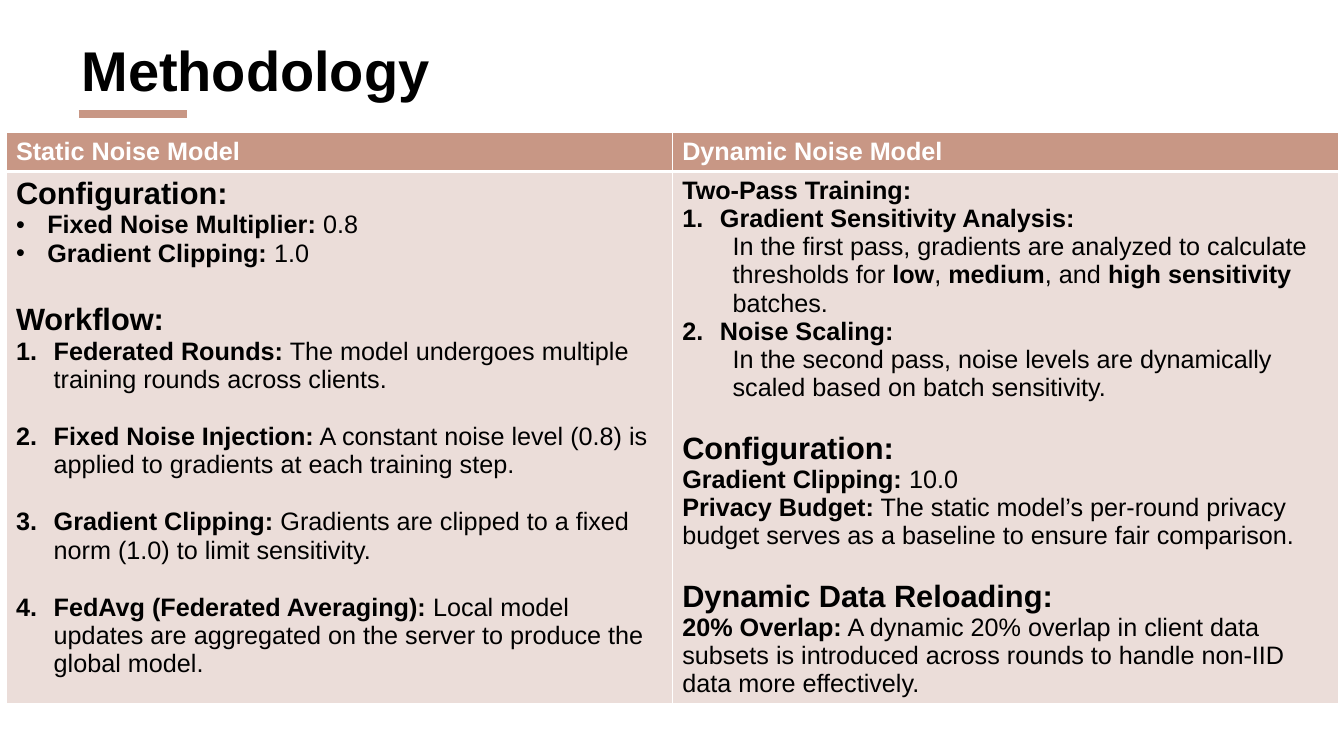
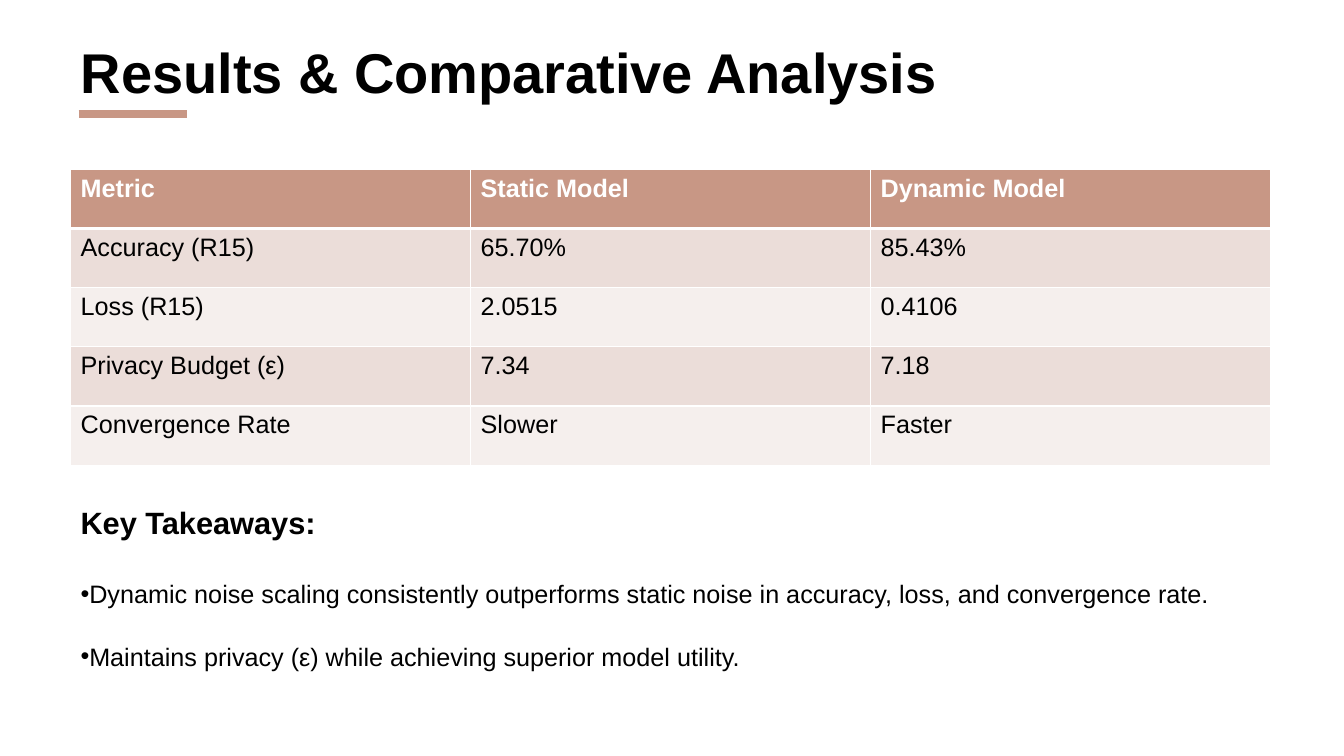
import pptx
import pptx.dml.color
import pptx.enum.shapes
import pptx.enum.text
import pptx.oxml.ns
import pptx.util
from lxml import etree

Cm, Pt = pptx.util.Cm, pptx.util.Pt

COLORS = {
    "accent": "C89785",
    "band_dark": "EBDDD9",
    "band_light": "F5EFED",
    "text": "000000",
    "white": "FFFFFF",
}
FONT = "Arial"
TITLE_SIZE, HEADING_SIZE, BODY_SIZE = 40, 22, 18
LINE_GAP = 20.7  # one body line, in points

STYLES = {
    "heading": dict(size=HEADING_SIZE, bold=True),
    "plain": dict(),
    "bullet": dict(bullet="•", indent=0.79, hang=0.79),
    "number": dict(bullet="arabicPeriod", indent=0.95, hang=0.95),
    "detail": dict(indent=1.27, level=1),
    "flush_bullet": dict(bullet="•"),
}

# Each paragraph: style, text with **bold** parts, gap above in points
STATIC_MODEL = [
    ("heading", "Configuration:", 0),
    ("bullet", "**Fixed Noise Multiplier:** 0.8", 0),
    ("bullet", "**Gradient Clipping:** 1.0", 0),
    ("heading", "Workflow:", 25.3),
    ("number", "**Federated Rounds:** The model undergoes multiple training "
     "rounds across clients.", 0),
    ("number", "**Fixed Noise Injection:** A constant noise level (0.8) is "
     "applied to gradients at each training step.", LINE_GAP),
    ("number", "**Gradient Clipping:** Gradients are clipped to a fixed norm "
     "(1.0) to limit sensitivity.", LINE_GAP),
    ("number", "**FedAvg (Federated Averaging):** Local model updates are "
     "aggregated on the server to produce the global model.", LINE_GAP),
]
DYNAMIC_MODEL = [
    ("plain", "**Two-Pass Training:**", 0),
    ("number", "**Gradient Sensitivity Analysis:**", 0),
    ("detail", "In the first pass, gradients are analyzed to calculate thresholds "
     "for **low**, **medium**, and **high sensitivity** batches.", 0),
    ("number", "**Noise Scaling:**", 0),
    ("detail", "In the second pass, noise levels are dynamically scaled based on "
     "batch sensitivity.", 0),
    ("heading", "Configuration:", LINE_GAP),
    ("plain", "**Gradient Clipping:** 10.0", 0),
    ("plain", "**Privacy Budget:** The static model’s per-round privacy budget "
     "serves as a baseline to ensure fair comparison.", 0),
    ("heading", "Dynamic Data Reloading:", LINE_GAP),
    ("plain", "**20% Overlap:** A dynamic 20% overlap in client data subsets is "
     "introduced across rounds to handle non-IID data more effectively.", 0),
]
METHODS = [
    ["Static Noise Model", "Dynamic Noise Model"],
    [STATIC_MODEL, DYNAMIC_MODEL],
]
RESULTS = [
    ["Metric", "Static Model", "Dynamic Model"],
    ["Accuracy (R15)", "65.70%", "85.43%"],
    ["Loss (R15)", "2.0515", "0.4106"],
    ["Privacy Budget (ε)", "7.34", "7.18"],
    ["Convergence Rate", "Slower", "Faster"],
]
TAKEAWAYS = [
    ("heading", "Key Takeaways:", 0),
    ("flush_bullet", "Dynamic noise scaling consistently outperforms static noise "
     "in accuracy, loss, and convergence rate.", 27),
    ("flush_bullet", "Maintains privacy (ε) while achieving superior model "
     "utility.", 23),
]


def rgb(name):
    return pptx.dml.color.RGBColor.from_string(COLORS[name])


def add_child(parent, tag, **attributes):
    return etree.SubElement(parent, pptx.oxml.ns.qn(tag), attributes)


def add_text(frame, text, size=BODY_SIZE, bold=False, color="text", bullet=None,
             indent=0, hang=0, level=0, gap=0):
    """Append a paragraph; parts between ** marks are bold."""
    paragraph = frame.paragraphs[0] if not frame.text else frame.add_paragraph()
    paragraph.alignment = pptx.enum.text.PP_ALIGN.LEFT
    paragraph.level = level
    paragraph.space_before = Pt(gap)
    properties = paragraph._p.get_or_add_pPr()
    properties.set("marL", str(Cm(indent)))
    properties.set("indent", str(-Cm(hang)))
    if bullet:
        add_child(properties, "a:buFont", typeface=FONT)
        if bullet == "•":
            add_child(properties, "a:buChar", char=bullet)
        else:
            add_child(properties, "a:buAutoNum", type=bullet)
    for index, part in enumerate(text.split("**")):
        if part:
            run = paragraph.add_run()
            run.text = part
            run.font.name = FONT
            run.font.size = Pt(size)
            run.font.bold = bold or index % 2 == 1
            run.font.color.rgb = rgb(color)


def add_paragraphs(frame, paragraphs):
    for style, text, gap in paragraphs:
        add_text(frame, text, gap=gap, **STYLES[style])


def add_titled_slide(deck, title, left, top):
    """Add a slide with its title and the accent rule below it."""
    slide = deck.slides.add_slide(deck.slide_layouts[5])
    rule = slide.shapes.add_connector(
        pptx.enum.shapes.MSO_CONNECTOR.STRAIGHT,
        Cm(1.98), Cm(2.87), Cm(4.7), Cm(2.87))
    rule.line.color.rgb = rgb("accent")
    rule.line.width = Pt(6)
    add_child(rule._element.spPr, "a:effectLst")

    heading = slide.shapes.title
    heading.left, heading.top = Cm(left), Cm(top)
    heading.width, heading.height = Cm(30.25), Cm(2)
    frame = heading.text_frame
    frame.vertical_anchor = pptx.enum.text.MSO_ANCHOR.TOP
    frame.auto_size = pptx.enum.text.MSO_AUTO_SIZE.NONE
    add_text(frame, title, size=TITLE_SIZE, bold=True)
    return slide


def set_borders(cell, top, bottom):
    """Draw white cell edges; top and bottom are widths in points."""
    properties = cell._tc.get_or_add_tcPr()
    for side, width in (("L", 1), ("R", 1), ("T", top), ("B", bottom)):
        edge = add_child(properties, "a:ln" + side, w=str(Pt(width)))
        fill = add_child(edge, "a:solidFill")
        add_child(fill, "a:srgbClr", val=COLORS["white"])


def add_banded_table(slide, rows, left, top, column_width, row_heights):
    columns = len(rows[0])
    table = slide.shapes.add_table(
        len(rows), columns, Cm(left), Cm(top),
        Cm(column_width * columns), Cm(sum(row_heights))).table
    table.horz_banding = False
    for column in table.columns:
        column.width = Cm(column_width)
    for row_index, row in enumerate(rows):
        table.rows[row_index].height = Cm(row_heights[row_index])
        is_header = row_index == 0
        band = "band_dark" if row_index % 2 else "band_light"
        for column_index, content in enumerate(row):
            cell = table.cell(row_index, column_index)
            set_borders(cell, top=3 if row_index == 1 else 1,
                        bottom=3 if is_header else 1)
            cell.fill.solid()
            cell.fill.fore_color.rgb = rgb("accent" if is_header else band)
            if isinstance(content, str):
                add_text(cell.text_frame, content, bold=is_header,
                         color="white" if is_header else "text")
            else:
                add_paragraphs(cell.text_frame, content)


def add_methodology(deck):
    slide = add_titled_slide(deck, "Methodology", left=1.8, top=0.76)
    add_banded_table(slide, METHODS, left=0.15, top=3.33,
                     column_width=16.79, row_heights=[0.99, 13.36])


def add_results(deck):
    slide = add_titled_slide(deck, "Results & Comparative Analysis",
                             left=1.78, top=0.83)
    add_banded_table(slide, RESULTS, left=1.78, top=4.27,
                     column_width=10.08, row_heights=[1.49] * len(RESULTS))
    takeaways = slide.shapes.add_textbox(Cm(1.78), Cm(12.57), Cm(30.25), Cm(4.45))
    takeaways.text_frame.word_wrap = True
    add_paragraphs(takeaways.text_frame, TAKEAWAYS)


def main():
    deck = pptx.Presentation()
    deck.slide_width, deck.slide_height = Cm(33.87), Cm(19.05)
    add_methodology(deck)
    add_results(deck)
    deck.save("out.pptx")


if __name__ == "__main__":
    main()
